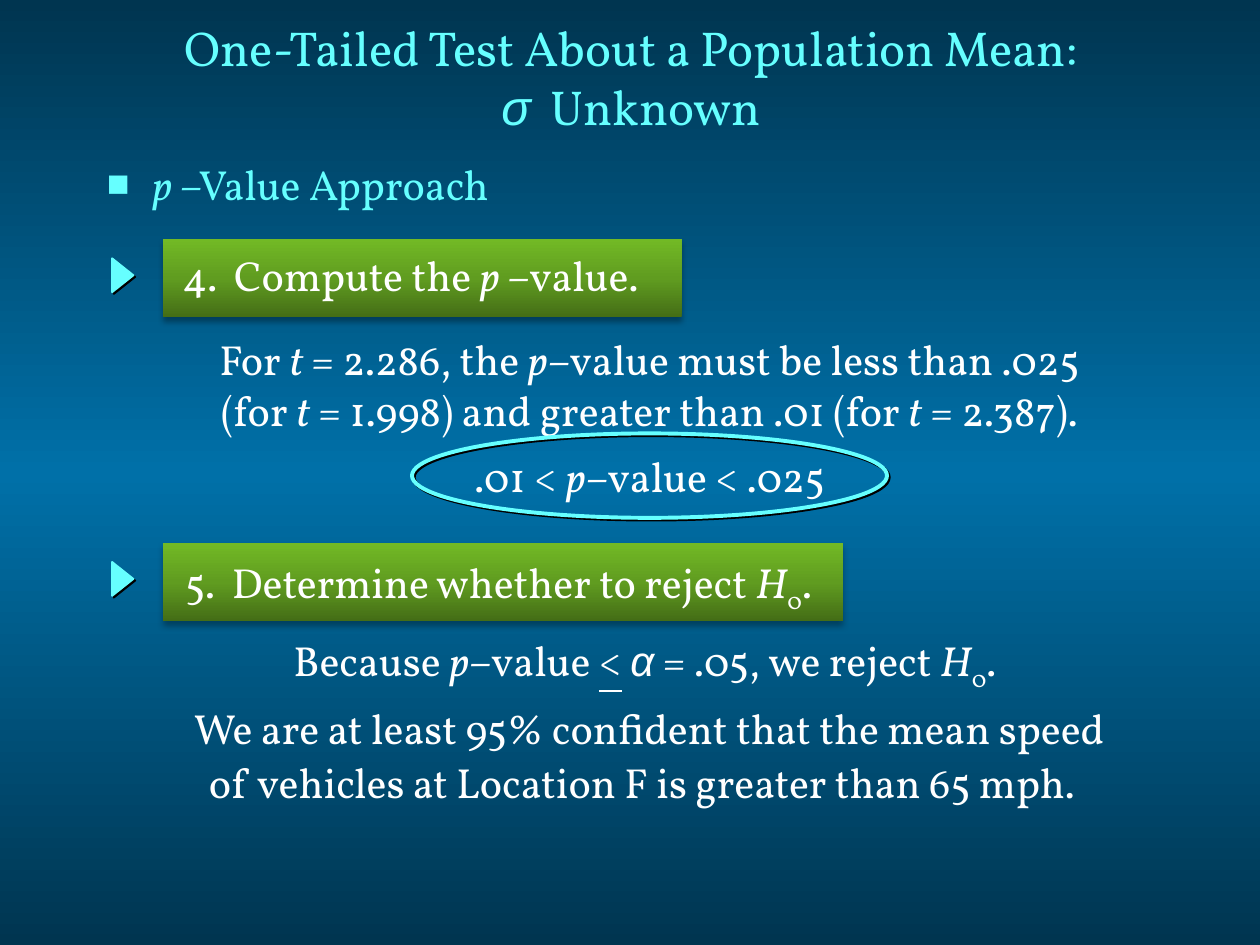
"""Build the slide on the p-value approach to a one-tailed test."""
from copy import deepcopy

from lxml import etree
from pptx import Presentation
from pptx.dml.color import RGBColor
from pptx.enum.shapes import MSO_SHAPE
from pptx.enum.text import MSO_ANCHOR, MSO_AUTO_SIZE, PP_ALIGN
from pptx.oxml.ns import qn
from pptx.util import Inches, Pt

RECTANGLE, TRIANGLE, OVAL = MSO_SHAPE.RECTANGLE, MSO_SHAPE.ISOSCELES_TRIANGLE, MSO_SHAPE.OVAL
LEFT, CENTER = PP_ALIGN.LEFT, PP_ALIGN.CENTER
MIDDLE = MSO_ANCHOR.MIDDLE
FIT, FIXED = MSO_AUTO_SIZE.SHAPE_TO_FIT_TEXT, MSO_AUTO_SIZE.NONE
color = RGBColor.from_string
CYAN, WHITE = "66FFFF", "FFFFFF"
TITLE = [("One-Tailed Test About a Population Mean:", ""), ("\v", ""), ("σ", "greek"), ("  Unknown", "")]
HEADING = [("p", "italic"), (" –Value Approach", "")]
STEP_4 = [("4.  Compute the ", ""), ("p", "italic"), (" –value.", "")]
STEP_5 = [("5.  Determine whether to reject ", ""), ("H", "italic"), ("0", "sub"), (".", "")]
BOUNDS = [
    [("For ", ""), ("t", "italic"), (" = 2.286, the ", ""), ("p", "italic"),
     ("–value must be less than .025", "")],
    [("(for ", ""), ("t", "italic"), (" = 1.998) and greater than .01 (for ", ""), ("t", "italic"),
     (" = 2.387).", "")],
    [(".01 < ", ""), ("p", "italic"), ("–value < .025", "")],
]
DECISION = [("Because ", ""), ("p", "italic"), ("–value ", ""), ("<", "underline"), (" ", ""),
            ("α", "greek"), (" = .05, we reject ", ""), ("H", "italic"), ("0", "sub"), (".", "")]
CONCLUSION = [[("We are at least 95% confident that the mean speed", "")],
              [("of vehicles at Location F is greater than 65 mph.", "")]]


def write_spans(para, spans, size, hex_color):
    """Add styled runs to a paragraph."""
    for text, style in spans:
        if text == "\v":
            para.add_line_break()
            continue
        span = para.add_run()
        span.text = text
        font = span.font
        font.name = "Arial" if style == "greek" else "Vollkorn"
        font.size = Pt(size)
        font.color.rgb = color(hex_color)
        font.italic = style in ("italic", "greek")
        font.underline = style == "underline"
        if style == "sub":
            span._r.get_or_add_rPr().set("baseline", "-25000")


def paint_gradient(owner, fill, hex_colors):
    """Fill with three evenly spaced colours running from bottom to top."""
    fill.gradient()
    fill.gradient_angle = 90
    stop_list = next(owner.iter(qn("a:gsLst")))
    stop_list.append(deepcopy(stop_list[-1]))
    for index, (stop, hex_color) in enumerate(zip(fill.gradient_stops, hex_colors)):
        stop.position = index / 2
        stop.color.rgb = color(hex_color)


deck = Presentation()
deck.slide_width, deck.slide_height = Inches(10), Inches(7.5)
page = deck.slides.add_slide(deck.slide_layouts[5])
paint_gradient(page._element, page.background.fill, ("003550", "0070A8", "003550"))

title = page.shapes.title
title.left, title.top, title.width, title.height = map(Inches, (0.76, 0.16, 8.5, 0.89))
title.text_frame.vertical_anchor = MIDDLE
title.text_frame.auto_size = FIXED
title.text_frame.paragraphs[0].alignment = CENTER
write_spans(title.text_frame.paragraphs[0], TITLE, 28, CYAN)

for top, width, arrow_top in ((1.9, 4.12, 2.1), (4.31, 5.4, 4.51)):
    banner = page.shapes.add_shape(RECTANGLE, Inches(1.29), Inches(top), Inches(width), Inches(0.62))
    paint_gradient(banner._element, banner.fill, ("446D16", "609C20", "72B925"))
    banner.line.fill.background()
    arrow = page.shapes.add_shape(TRIANGLE, Inches(0.84), Inches(arrow_top), Inches(0.27), Inches(0.17))
    arrow.rotation = 90
    arrow.fill.solid()
    arrow.fill.fore_color.rgb = color(CYAN)
    arrow.line.color.rgb = color(CYAN)
    arrow.line.width = Pt(1)

boxes = {}
for name, (left, top, width, height), paragraphs, align, hex_color in (
    ("heading", (0.75, 1.21, 3.44, 0.5), [HEADING], LEFT, CYAN),
    ("step 4", (1.35, 1.93, 3.94, 0.5), [STEP_4], LEFT, WHITE),
    ("step 5", (1.37, 4.37, 5.28, 0.5), [STEP_5], LEFT, WHITE),
    ("bounds", (1.5, 2.6, 7.31, 1.43), BOUNDS, CENTER, WHITE),
    ("decision", (2.23, 4.99, 5.98, 0.5), [DECISION], LEFT, WHITE),
    ("conclusion", (1.44, 5.57, 7.9, 1.06), CONCLUSION, LEFT, WHITE),
):
    box = page.shapes.add_textbox(Inches(left), Inches(top), Inches(width), Inches(height))
    boxes[name] = box.text_frame
    box.text_frame.word_wrap = name == "conclusion"
    box.text_frame.auto_size = FIXED if name == "conclusion" else FIT
    for index, spans in enumerate(paragraphs):
        para = box.text_frame.add_paragraph() if index else box.text_frame.paragraphs[0]
        para.alignment = align
        write_spans(para, spans, 24, hex_color)

bullet = boxes["heading"].paragraphs[0]._p.get_or_add_pPr()
bullet.set("marL", str(Inches(0.36)))
bullet.set("indent", str(Inches(-0.36)))
etree.SubElement(bullet, qn("a:buSzPct"), val="90000")
etree.SubElement(bullet, qn("a:buFont"), typeface="Arial")
etree.SubElement(bullet, qn("a:buChar"), char="■")

boxes["bounds"].paragraphs[2].space_before = Pt(9)
for para in boxes["conclusion"].paragraphs:
    para.line_spacing = 0.9
last_line = boxes["conclusion"].paragraphs[1]
last_line.space_before = Pt(5)
last_line._p.get_or_add_pPr().set("marL", str(Inches(0.12)))

ring = page.shapes.add_shape(OVAL, Inches(3.27), Inches(3.44), Inches(3.77), Inches(0.67))
ring.fill.background()
ring.line.color.rgb = color(CYAN)
ring.line.width = Pt(2.25)

SOFT_SHADOW, HARD_SHADOW = (32, 3.5, 2.2, 90), (100, 0, 1.4, 45)
for shape in page.shapes:
    if shape.is_placeholder or shape.shape_type == boxes["heading"]._parent.shape_type:
        continue
    is_banner = shape.auto_shape_type == RECTANGLE
    opacity, blur, distance, angle = SOFT_SHADOW if is_banner else HARD_SHADOW
    shape.shadow.inherit = False
    effects = shape._element.spPr.find(qn("a:effectLst"))
    shadow = etree.SubElement(effects, qn("a:outerShdw"), blurRad=str(Pt(blur)), dist=str(Pt(distance)),
                              dir=str(angle * 60000), algn="ctr", rotWithShape="0")
    shade = etree.SubElement(shadow, qn("a:srgbClr"), val="000000")
    etree.SubElement(shade, qn("a:alpha"), val=str(opacity * 1000))

deck.save("out.pptx")
